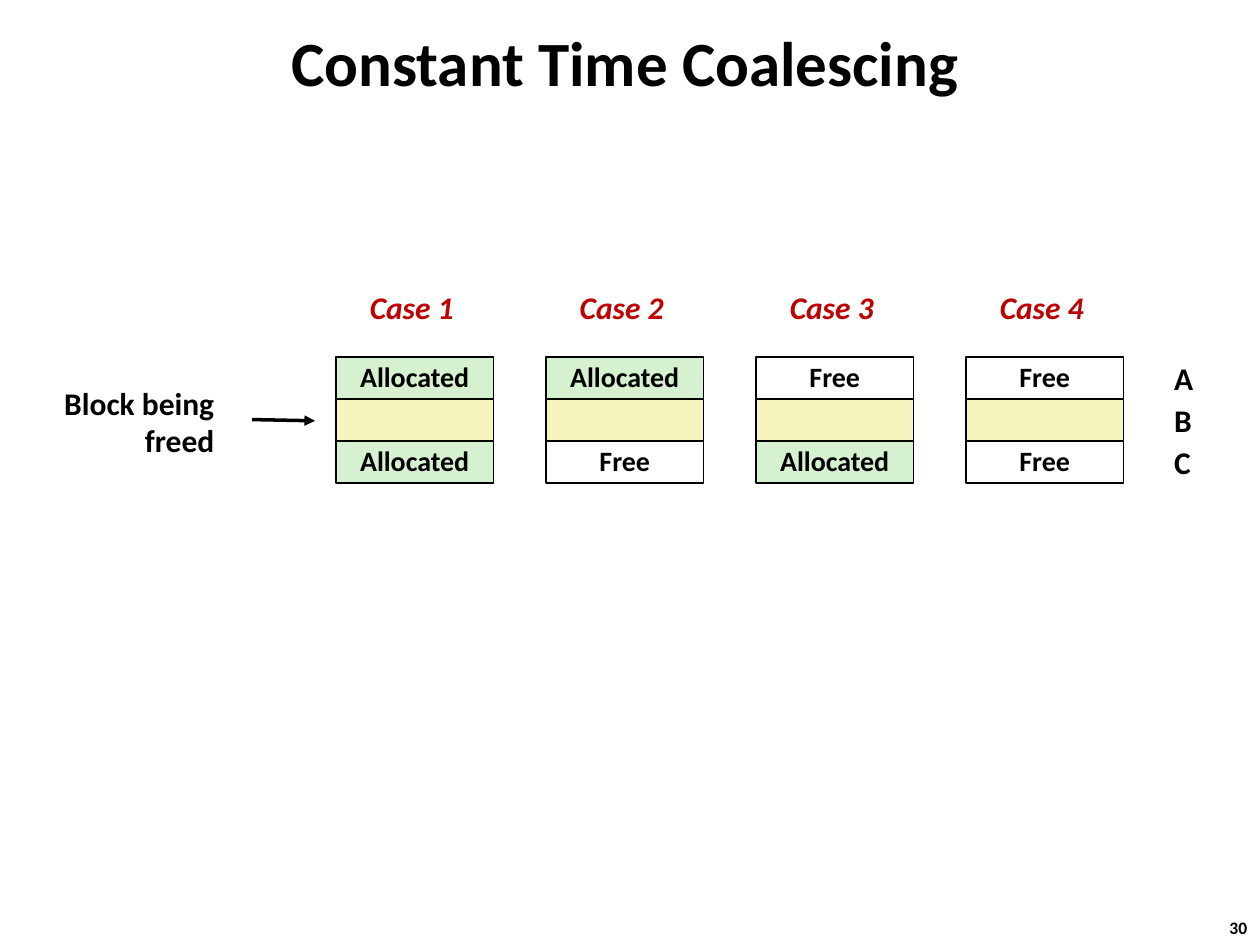
from lxml import etree
from pptx import Presentation
from pptx.dml.color import RGBColor
from pptx.enum.shapes import MSO_CONNECTOR, MSO_SHAPE
from pptx.enum.text import MSO_ANCHOR, PP_ALIGN
from pptx.oxml.ns import qn
from pptx.util import Inches, Pt

RECT = MSO_SHAPE.RECTANGLE
STRAIGHT = MSO_CONNECTOR.STRAIGHT
TOP, MIDDLE = MSO_ANCHOR.TOP, MSO_ANCHOR.MIDDLE
LEFT, CENTER, RIGHT = PP_ALIGN.LEFT, PP_ALIGN.CENTER, PP_ALIGN.RIGHT

FONT = "Calibri"
BLACK, RED = "000000", "C00000"
FREED = "F6F5BD"
STATE_FILLS = {"Allocated": "D5F1CF", "Free": "FFFFFF"}
CASES = [
    ("Case 1", "Allocated", "Allocated"),
    ("Case 2", "Allocated", "Free"),
    ("Case 3", "Free", "Allocated"),
    ("Case 4", "Free", "Free"),
]
ROW_H = 1 / 3
CASE_W, CASE_STEP = 1.25, 5 / 3
CASES_X, CASES_Y = 8 / 3, 17 / 6


def rgb(value):
    """Turn a hex string into a colour."""
    return RGBColor.from_string(value)


def write(sp, text, size, color=BLACK, align=LEFT, anchor=TOP, italic=False, spacing=None):
    """Set bold text in a shape and format every paragraph."""
    tf = sp.text_frame
    tf.text = text
    tf.word_wrap = False
    tf.vertical_anchor = anchor
    for p in tf.paragraphs:
        p.alignment = align
        p.line_spacing = spacing
        for r in p.runs:
            r.font.name = FONT
            r.font.size = Pt(size)
            r.font.bold = True
            r.font.italic = italic
            r.font.color.rgb = rgb(color)


def add_label(s, x, y, w, h, text, size, **style):
    """Add a text box."""
    sp = s.shapes.add_textbox(Inches(x), Inches(y), Inches(w), Inches(h))
    write(sp, text, size, **style)


def add_block(s, x, y, w, h, fill, text=""):
    """Add one outlined memory block."""
    sp = s.shapes.add_shape(RECT, Inches(x), Inches(y), Inches(w), Inches(h))
    sp.shadow.inherit = False
    sp.fill.solid()
    sp.fill.fore_color.rgb = rgb(fill)
    sp.line.color.rgb = rgb(BLACK)
    sp.line.width = Pt(1)
    if text:
        write(sp, text, 16, align=CENTER, anchor=MIDDLE, spacing=0.98)


def add_case(s, x, y, w, row_h, name, before, after):
    """Add a named column with the freed block between its neighbours."""
    add_label(s, x + 0.17, y - 0.58, 0.87, 0.4, name, 18, color=RED, italic=True, spacing=0.98)
    add_block(s, x, y + row_h, w, row_h, FREED)
    for row, state in ((0, before), (2, after)):
        add_block(s, x, y + row * row_h, w, row_h, STATE_FILLS[state], state)


def add_arrow(s, x1, y1, x2, y2):
    """Add a straight arrow without a shadow."""
    line = s.shapes.add_connector(STRAIGHT, Inches(x1), Inches(y1), Inches(x2), Inches(y2))
    line.line.color.rgb = rgb(BLACK)
    line.line.width = Pt(2)
    etree.SubElement(line.line._get_or_add_ln(), qn("a:tailEnd"), type="triangle")
    etree.SubElement(line._element.spPr, qn("a:effectLst"))


def add_freed_pointer(s, x, y):
    """Add the caption and the arrow that point at the freed row."""
    add_label(s, x, y, 1.4, 0.7, "Block being\nfreed", 18, align=RIGHT, spacing=0.98)
    add_arrow(s, x + 1.6, y + 0.32, x + 2.1, y + 0.33)


def add_row_letters(s, x, y, row_h):
    """Name the three rows at the right."""
    for row, letter in enumerate("ABC"):
        add_label(s, x, y + row * row_h, 0.35, 0.4, letter, 18)


def main():
    """Build and save the slide."""
    prs = Presentation()
    prs.slide_width, prs.slide_height = Inches(10), Inches(7.5)
    s = prs.slides.add_slide(prs.slide_layouts[6])
    add_label(s, 1.12, 0.17, 7.68, 0.63, "Constant Time Coalescing", 36,
              align=CENTER, anchor=MIDDLE)
    for i, case in enumerate(CASES):
        add_case(s, CASES_X + i * CASE_STEP, CASES_Y, CASE_W, ROW_H, *case)
    add_freed_pointer(s, 0.4, 3.01)
    add_row_letters(s, 9.22, 2.8, ROW_H)
    add_label(s, 9.66, 7.23, 0.37, 0.27, "30", 10)
    prs.save("out.pptx")


if __name__ == "__main__":
    main()
